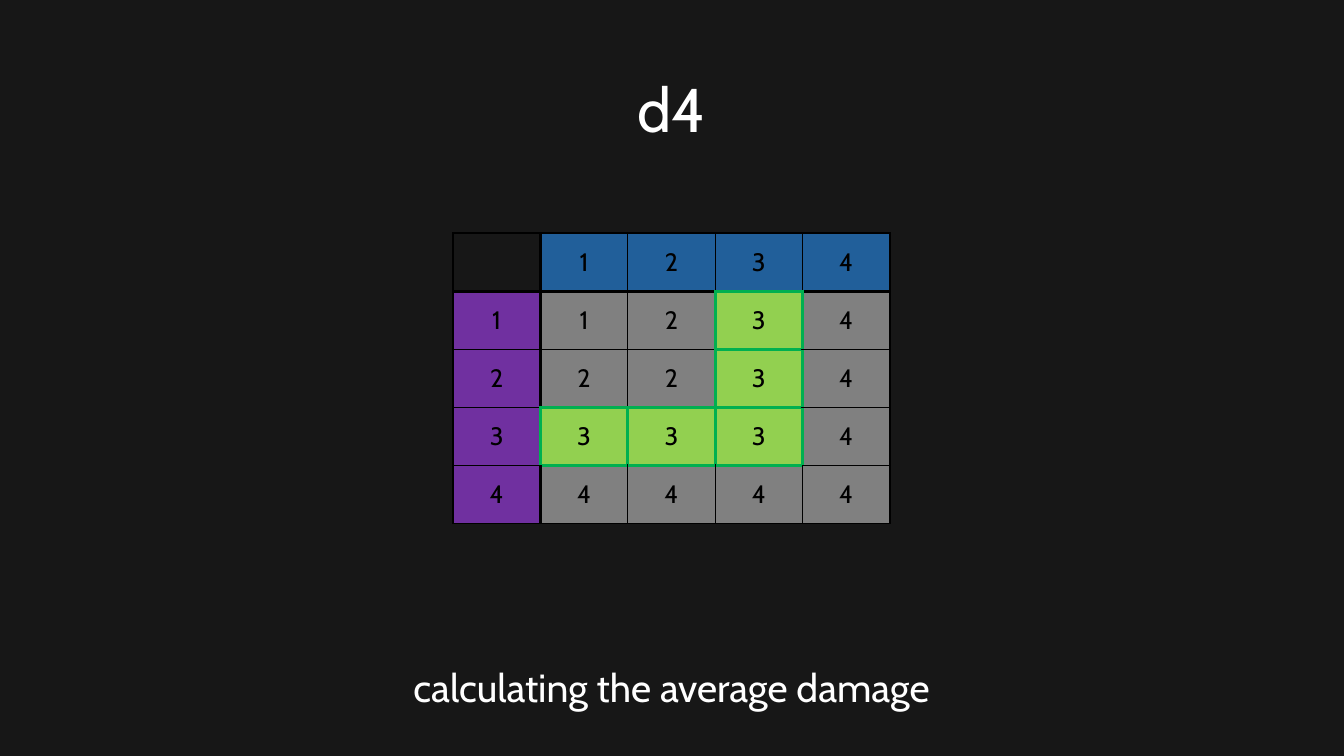
import pptx
import pptx.dml.color
import pptx.enum.text
import pptx.oxml
import pptx.oxml.ns
import pptx.util

PX = 9144000 / 1008
SIDES = {"L": (0, -1), "R": (0, 1), "T": (-1, 0), "B": (1, 0)}
DIE_SIDES = 4
TARGET = 3


def color(value):
    return pptx.dml.color.RGBColor.from_string(value)


def px(length):
    return pptx.util.Emu(round(length * PX))


class Deck:
    """Hold the style and the current slide, and draw each kind of element."""

    font = "Cabin"
    background, light, dark = "171717", "FFFFFF", "000000"
    column_head, row_head, plain = "215F9A", "7030A0", "808080"
    highlight, outline = "92D050", "00B050"

    def __init__(self, width, height):
        self.presentation = pptx.Presentation()
        self.presentation.slide_width = px(width)
        self.presentation.slide_height = px(height)
        self.slide = self.presentation.slides.add_slide(self.presentation.slide_layouts[6])
        fill = self.slide.background.fill
        fill.solid()
        fill.fore_color.rgb = color(self.background)

    def style(self, paragraph, size, ink):
        paragraph.alignment = pptx.enum.text.PP_ALIGN.CENTER
        paragraph.font.name = self.font
        paragraph.font.size = pptx.util.Pt(size)
        paragraph.font.color.rgb = color(ink)

    def text(self, words, left, top, width, height, size, spacing=1.0):
        shape = self.slide.shapes.add_textbox(px(left), px(top), px(width), px(height))
        frame = shape.text_frame
        frame.word_wrap = True
        frame.vertical_anchor = pptx.enum.text.MSO_ANCHOR.MIDDLE
        paragraph = frame.paragraphs[0]
        paragraph.text = words
        paragraph.line_spacing = spacing
        self.style(paragraph, size, self.light)

    def is_target(self, row, column):
        return min(row, column) > 0 and max(row, column) == TARGET

    def edge(self, cell, neighbour):
        if self.is_target(*cell) or self.is_target(*neighbour):
            return self.outline, 2.25
        crosses_head = any((a == 0) != (b == 0) for a, b in zip(cell, neighbour))
        inside = min(neighbour) >= 0
        return self.dark, 2.25 if crosses_head and inside else 1

    def border(self, cell, side, ink, width):
        cell._tc.get_or_add_tcPr().append(pptx.oxml.parse_xml(
            f'<a:ln{side} {pptx.oxml.ns.nsdecls("a")} w="{pptx.util.Pt(width)}">'
            f'<a:solidFill><a:srgbClr val="{ink}"/></a:solidFill></a:ln{side}>'))

    def cell_fill(self, row, column):
        if self.is_target(row, column):
            return self.highlight
        if row and column:
            return self.plain
        return self.row_head if row else self.column_head

    def damage_table(self, left, top, width, height):
        count = DIE_SIDES + 1
        table = self.slide.shapes.add_table(
            count, count, px(left), px(top), px(width), px(height)).table
        table.first_row = table.horz_banding = False
        for row in range(count):
            for column in range(count):
                cell = table.cell(row, column)
                for side, (down, across) in SIDES.items():
                    ink, line = self.edge((row, column), (row + down, column + across))
                    self.border(cell, side, ink, line)
                cell.vertical_anchor = pptx.enum.text.MSO_ANCHOR.MIDDLE
                paragraph = cell.text_frame.paragraphs[0]
                value = max(row, column)
                if value:
                    paragraph.text = str(value)
                    cell.fill.solid()
                    cell.fill.fore_color.rgb = color(self.cell_fill(row, column))
                else:
                    cell.fill.background()
                self.style(paragraph, 18, self.dark)


def main():
    deck = Deck(1344, 756)
    deck.text("d4", 154, 40, 1035, 146, 44, 0.9)
    deck.damage_table(453, 233, 437, 291)
    deck.text("calculating the average damage", 154, 658, 1035, 57, 28)
    deck.presentation.save("out.pptx")


if __name__ == "__main__":
    main()
